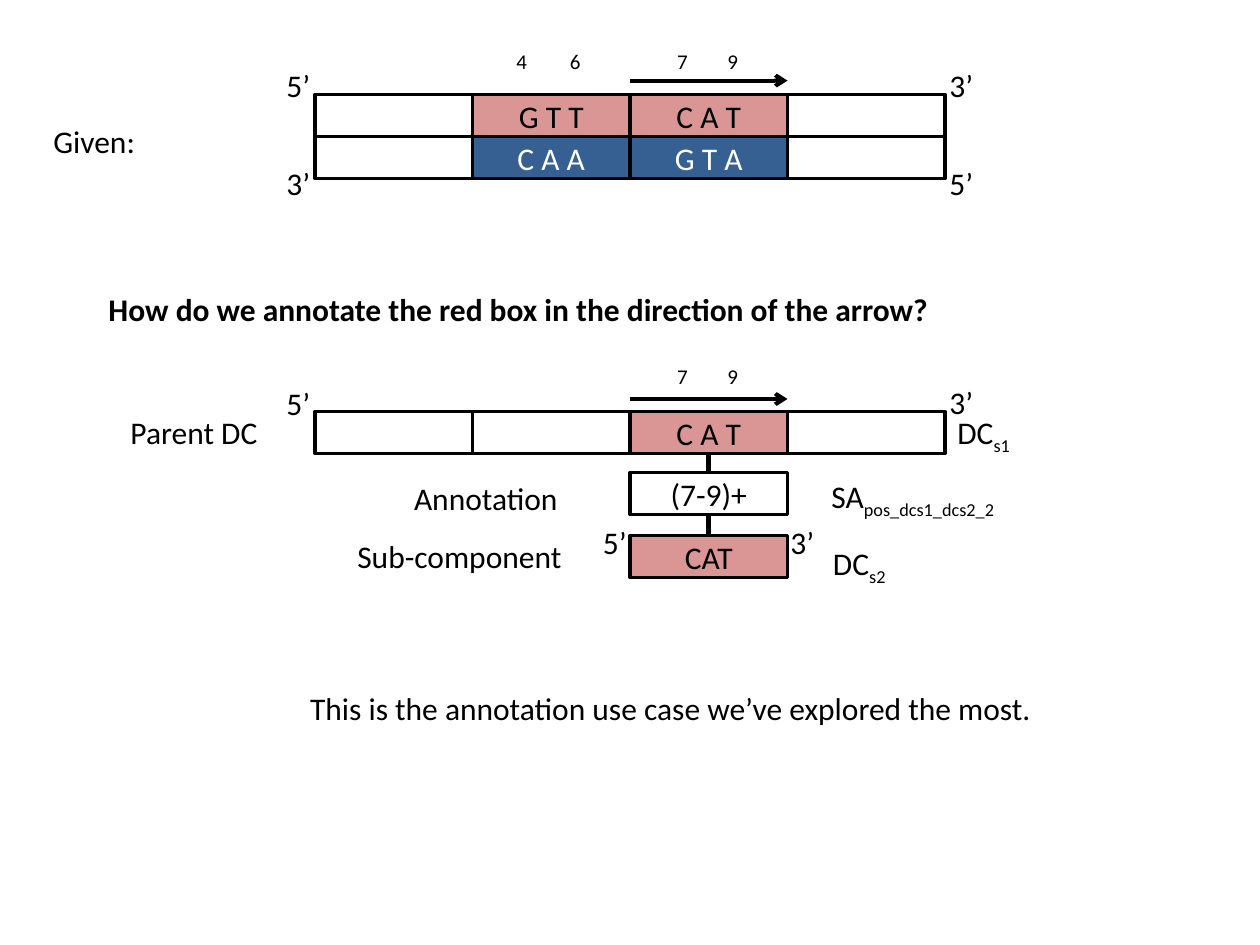
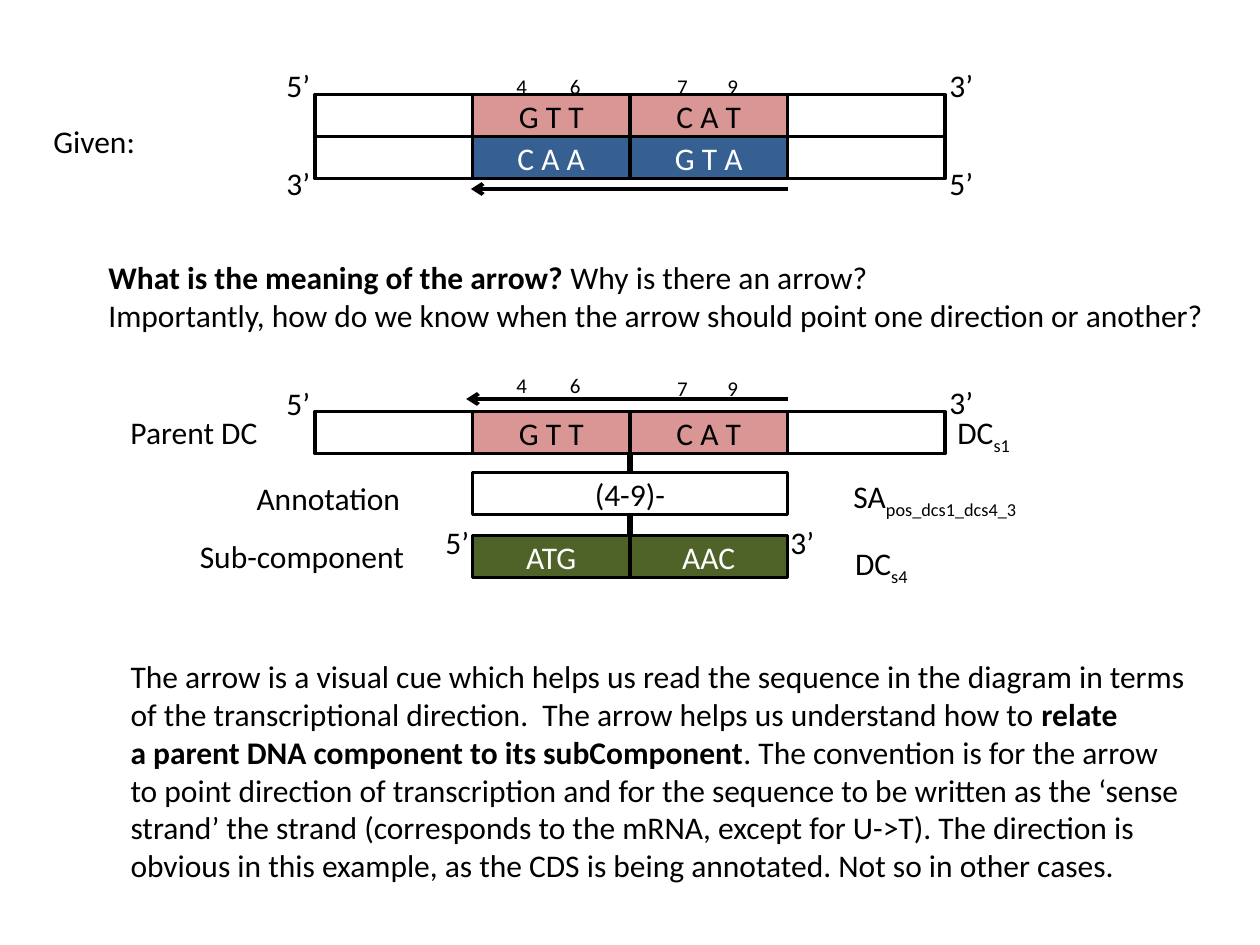
from lxml import etree
from pptx import Presentation
from pptx.dml.color import RGBColor
from pptx.enum.shapes import MSO_CONNECTOR, MSO_SHAPE
from pptx.enum.text import MSO_ANCHOR, MSO_AUTO_SIZE, PP_ALIGN
from pptx.oxml.ns import qn
from pptx.util import Inches, Pt

RECTANGLE = MSO_SHAPE.RECTANGLE
STRAIGHT = MSO_CONNECTOR.STRAIGHT
MIDDLE = MSO_ANCHOR.MIDDLE
CENTER = PP_ALIGN.CENTER
GROW = MSO_AUTO_SIZE.SHAPE_TO_FIT_TEXT

WIDTH, HEIGHT = Inches(10), Inches(7.5)
COLUMN, ROW = WIDTH / 8, HEIGHT / 22.5  # one base triplet: a column wide, a row high

COLORS = {"ink": "000000", "paper": "FFFFFF", "sense": "D99694",
          "antisense": "376092", "product": "4F6228"}
TEXT_COLOR = {None: "ink", "sense": "ink", "antisense": "paper", "product": "paper"}
STYLES = {"plain": {}, "bold": {"bold": True}, "sub": {}}

STRAND_COLUMNS = range(2, 6)
PARENT_ROW, ANNOTATION_ROW, SUB_ROW = 9.8, 11.25, 12.75
POSITION_COLUMNS = {"4": 3.2, "6": 3.54, "7": 4.22, "9": 4.54}
LEFT_END, RIGHT_END = 1.74, 5.95

QUESTION_ARROW = [
    [("What is the meaning of the arrow?", "bold"), (" Why is there an arrow?", "plain")],
    [("Importantly, how do we know when the arrow should point one direction or another?",
      "plain")],
]
EXPLANATION = [
    [("The arrow is a visual cue which helps us read the sequence in the diagram in terms",
      "plain")],
    [("of the transcriptional direction.  The arrow helps us understand how to ", "plain"),
     ("relate", "bold")],
    [("a parent DNA component to its subComponent", "bold"),
     (". The convention is for the arrow", "plain")],
    [("to point direction of transcription and for the sequence to be written as the ‘sense",
      "plain")],
    [("strand’ the strand (corresponds to the mRNA, except for U->T). The direction is",
      "plain")],
    [("obvious in this example, as the CDS is being annotated. Not so in other cases.",
      "plain")],
]


def rgb(name):
    return RGBColor.from_string(COLORS[name])


def grid(column, row):
    return round(column * COLUMN), round(row * ROW)


def write(paragraph, text, style="plain", size=18, color="ink"):
    run = paragraph.add_run()
    run.text = text
    formats = {"name": "Calibri", "size": Pt(size), **STYLES[style]}
    for attribute, value in formats.items():
        setattr(run.font, attribute, value)
    run.font.color.rgb = rgb(color)
    if style == "sub":
        run._r.get_or_add_rPr().set("baseline", "-25000")


def label(shapes, column, row, width, content, size=18):
    """Place unwrapped text: a string, or paragraphs of (text, style) pairs."""
    paragraphs = [[(content, "plain")]] if isinstance(content, str) else content
    height = len(paragraphs) * size / 18 * 1.2
    frame = shapes.add_textbox(*grid(column, row), *grid(width, height)).text_frame
    frame.word_wrap = False
    frame.auto_size = GROW
    for index, runs in enumerate(paragraphs):
        paragraph = frame.add_paragraph() if index else frame.paragraphs[0]
        for text, style in runs:
            write(paragraph, text, style, size)


def subscripted(shapes, column, row, width, name, index):
    label(shapes, column, row, width, [[(name, "plain"), (index, "sub")]])


def strand_end(shapes, column, row, text):
    label(shapes, column, row, 0.31, text)


def box(shapes, column, row, text="", fill=None, span=1):
    cell = shapes.add_shape(RECTANGLE, *grid(column, row), *grid(span, 1))
    cell.shadow.inherit = False
    cell.line.color.rgb = rgb("ink")
    cell.line.width = Pt(2)
    if fill:
        cell.fill.solid()
        cell.fill.fore_color.rgb = rgb(fill)
    else:
        cell.fill.background()
    if text:
        cell.text_frame.vertical_anchor = MIDDLE
        paragraph = cell.text_frame.paragraphs[0]
        paragraph.alignment = CENTER
        write(paragraph, text, color=TEXT_COLOR[fill])


def line(shapes, start, end, weight, arrow=False):
    link = shapes.add_connector(STRAIGHT, *grid(*start), *grid(*end))
    link.line.color.rgb = rgb("ink")
    link.line.width = Pt(weight)
    properties = link.element.spPr
    if arrow:
        etree.SubElement(properties.find(qn("a:ln")), qn("a:tailEnd"), type="arrow")
    etree.SubElement(properties, qn("a:effectLst"))


def direction(shapes, start, end, row):
    line(shapes, (start, row), (end, row), 2.25, arrow=True)


def strand(shapes, row, triplets, fill):
    """Draw four boxes; triplets maps a column to its bases."""
    for column in STRAND_COLUMNS:
        text = triplets.get(column, "")
        box(shapes, column, row, text, fill if text else None)


def positions(shapes, row, digits):
    for digit in digits:
        label(shapes, POSITION_COLUMNS[digit], row, 0.23, digit, size=12)


def given(slide, positions_row):
    duplex = slide.shapes.add_group_shape().shapes
    strand(duplex, 2.25, {3: "G T T", 4: "C A T"}, "sense")
    strand(duplex, 3.25, {3: "C A A", 4: "G T A"}, "antisense")
    for row, left, right in ((1.42, "5’", "3’"), (3.75, "3’", "5’")):
        strand_end(duplex, LEFT_END, row, left)
        strand_end(duplex, RIGHT_END, row, right)
    label(slide.shapes, 0.26, 2.76, 0.69, "Given:")
    positions(slide.shapes, positions_row, "4679")


def parent(shapes, triplets):
    strand(shapes, PARENT_ROW, triplets, "sense")
    strand_end(shapes, LEFT_END, 9, "5’")
    strand_end(shapes, RIGHT_END, 8.97, "3’")
    label(shapes, 0.75, 9.69, 0.98, "Parent DC")
    subscripted(shapes, 6, 9.69, 0.52, "DC", "s1")


def annotation(shapes, left, location, sub_triplets, fill, names_column, indexes):
    """Hang the annotation and the sub-component below the parent strand."""
    span = len(sub_triplets)
    middle = left + span / 2
    for top in (PARENT_ROW, ANNOTATION_ROW):
        next_row = ANNOTATION_ROW if top == PARENT_ROW else SUB_ROW
        line(shapes, (middle, top + 1), (middle, next_row), 3)
    box(shapes, left, ANNOTATION_ROW, location, span=span)
    for offset, triplet in enumerate(sub_triplets):
        box(shapes, left + offset, SUB_ROW, triplet, fill)
    strand_end(shapes, left - 0.25, 12.3, "5’")
    strand_end(shapes, left + span - 0.06, 12.3, "3’")
    label(shapes, left - 1.45, 11.25, 1.09, "Annotation")
    label(shapes, left - 1.81, 12.63, 1.47, "Sub-component")
    position_index, component_index = indexes
    subscripted(shapes, names_column, 11.22, 1.34, "SA", position_index)
    subscripted(shapes, names_column + 0.01, 12.81, 0.52, "DC", component_index)


def forward_slide(slide):
    shapes = slide.shapes
    given(slide, positions_row=1)
    direction(shapes, 4, 5, 1.92)
    label(shapes, 0.61, 6.75, 5.5,
          [[("How do we annotate the red box in the direction of the arrow?", "bold")]])
    parent(shapes, {4: "C A T"})
    positions(shapes, 8.5, "79")
    direction(shapes, 4, 5, 9.5)
    annotation(shapes, 4, "(7-9)+", ["CAT"], "sense", 5.2, ("pos_dcs1_dcs2_2", "s2"))
    label(shapes, 1.89, 16.26, 4.84,
          "This is the annotation use case we’ve explored the most.")


def reverse_slide(slide):
    shapes = slide.shapes
    given(slide, positions_row=1.6)
    direction(shapes, 5, 2.99, 4.5)
    label(shapes, 0.61, 6, 7.2, QUESTION_ARROW)
    parent(shapes, {3: "G T T", 4: "C A T"})
    positions(shapes, 8.73, "46")
    positions(shapes, 8.79, "79")
    direction(shapes, 5, 2.96, 9.5)
    annotation(shapes, 3, "(4-9)-", ["ATG", "AAC"], "product", 5.34,
               ("pos_dcs1_dcs4_3", "s4"))
    label(shapes, 0.75, 15.5, 6.94, EXPLANATION)


def main():
    deck = Presentation()
    deck.slide_width, deck.slide_height = WIDTH, HEIGHT
    blank = deck.slide_layouts.get_by_name("Blank")
    for build in (forward_slide, reverse_slide):
        build(deck.slides.add_slide(blank))
    deck.save("out.pptx")


if __name__ == "__main__":
    main()
